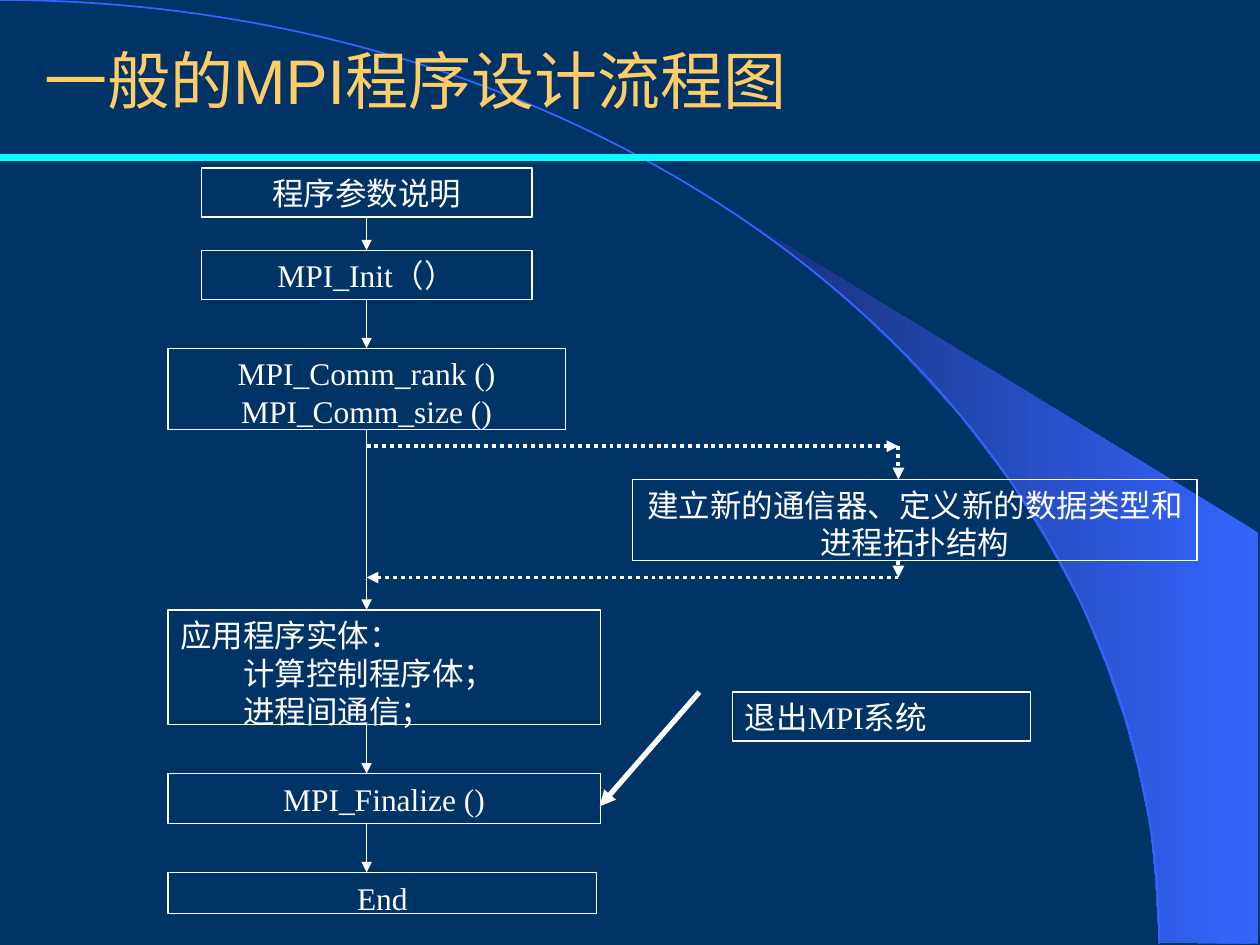
from dataclasses import dataclass

from lxml import etree
from pptx import Presentation
from pptx.dml.color import RGBColor
from pptx.enum.dml import MSO_LINE
from pptx.enum.shapes import MSO_CONNECTOR, MSO_SHAPE
from pptx.enum.text import MSO_ANCHOR, MSO_AUTO_SIZE, PP_ALIGN
from pptx.oxml.ns import qn
from pptx.util import Pt

STRAIGHT = MSO_CONNECTOR.STRAIGHT
DOTTED = MSO_LINE.ROUND_DOT
CENTER, LEFT, JUSTIFY = PP_ALIGN.CENTER, PP_ALIGN.LEFT, PP_ALIGN.JUSTIFY
TOP, BOTTOM = 0, 2


@dataclass(frozen=True)
class Theme:
    background: RGBColor = RGBColor(0x00, 0x33, 0x66)
    arc: RGBColor = RGBColor(0x33, 0x66, 0xFF)
    beam_dark: RGBColor = RGBColor(0x17, 0x2F, 0x75)
    rule: RGBColor = RGBColor(0x00, 0xFF, 0xFF)
    title: RGBColor = RGBColor(0xFF, 0xCC, 0x66)
    ink: RGBColor = RGBColor(0xFF, 0xFF, 0xFF)
    title_font: str = "Arial"
    body_font: str = "Times New Roman"
    title_size: float = 36
    body_size: float = 18
    thin: float = 0.75
    dotted: float = 2.25
    thick: float = 3


THEME = Theme()

# Content
WIDTH, HEIGHT = 720, 540
TITLE = "一般的MPI程序设计流程图"

# name: (left, top, width, height), alignment, [(text, left indent)]
BOXES = {
    "parameters": ((115, 96, 189, 28), CENTER, [("程序参数说明", 0)]),
    "init": ((115, 143, 189, 28), CENTER, [("MPI_Init（）", 0)]),
    "rank": ((96, 199, 227, 46.5), CENTER,
             [("MPI_Comm_rank ()", 0), ("MPI_Comm_size ()", 0)]),
    "communicator": ((361.5, 274, 322.5, 46.5), CENTER,
                     [("建立新的通信器、定义新的数据类型和进程拓扑结构", 0)]),
    "body": ((96, 348.5, 247, 65.5), JUSTIFY,
             [("应用程序实体：", 0), ("计算控制程序体；", 36), ("进程间通信；", 36)]),
    "finalize": ((96, 442, 247, 28.5), CENTER, [("MPI_Finalize ()", 0)]),
    "exit": ((418.5, 395.5, 170.5, 28), JUSTIFY, [("退出MPI系统", 0)]),
    "end": ((96, 498.5, 245, 23.5), CENTER, [("End", 0)]),
}
MAIN_FLOW = ["parameters", "init", "rank", "body", "finalize", "end"]
FLOW_X, DETOUR_X = 209.5, 513.4
DETOUR_TOP, DETOUR_BOTTOM = 255, 330
EXIT_ARROW = ((399.6, 395.5), (342.7, 460.8))

ARC_RADIUS_X, ARC_RADIUS_Y = 662.4, 539.3
BEAM = [
    (662.4, 538.6), (719.3, 539.3), (719.3, 304.6), (424.1, 124.6),
    (449.3, 143.3), (470.2, 159.8), (493.2, 180), (515.5, 201.6),
    (548.6, 237.6), (578.2, 276.5), (599, 310.3), (617.8, 344.9),
    (632.2, 380.2), (643, 411.8), (650.2, 438.5), (657.4, 472.3),
    (660.2, 501.1),
]


def points(values):
    return [Pt(value) for value in values]


def add_line(slide, start, end, color, width, dash=None, arrow=True):
    line = slide.shapes.add_connector(STRAIGHT, *points(start + end))
    line.line.color.rgb = color
    line.line.width = Pt(width)
    if dash is not None:
        line.line.dash_style = dash
    if arrow:
        outline = line.line._get_or_add_ln()
        etree.SubElement(outline, qn("a:tailEnd"), type="triangle")
    etree.SubElement(line._element.spPr, qn("a:effectLst"))
    return line


def add_text(paragraph, text, font_name, size, color):
    run = paragraph.add_run()
    run.text = text
    run.font.name = font_name
    run.font.size = Pt(size)
    run.font.color.rgb = color


def add_backdrop(slide):
    slide.background.fill.solid()
    slide.background.fill.fore_color.rgb = THEME.background

    # Light beam to the right of the arc
    vertices = [tuple(points(vertex)) for vertex in BEAM]
    builder = slide.shapes.build_freeform(*vertices[0])
    builder.add_line_segments(vertices[1:], close=True)
    beam = builder.convert_to_shape()
    beam.shadow.inherit = False
    beam.line.fill.background()
    beam.fill.gradient()
    beam.fill.gradient_angle = 180
    for stop, color in zip(beam.fill.gradient_stops, (THEME.arc, THEME.beam_dark)):
        stop.color.rgb = color

    # Quarter ellipse and rule under the title
    arc = slide.shapes.add_shape(MSO_SHAPE.ARC, *points(
        (-ARC_RADIUS_X, 0, 2 * ARC_RADIUS_X, 2 * ARC_RADIUS_Y)))
    arc.shadow.inherit = False
    arc.fill.background()
    arc.line.color.rgb = THEME.arc
    arc.line.width = Pt(1)
    add_line(slide, (0, 90), (WIDTH, 90), THEME.rule, 4.5, arrow=False)


def add_title(slide):
    title = slide.shapes.title
    title.left, title.top, title.width, title.height = points((18, 12.2, 612, 66.2))
    slide.shapes._spTree.append(title._element)  # in front of the backdrop
    frame = title.text_frame
    frame.auto_size = MSO_AUTO_SIZE.NONE
    frame.vertical_anchor = MSO_ANCHOR.MIDDLE
    paragraph = frame.paragraphs[0]
    paragraph.alignment = LEFT
    add_text(paragraph, TITLE, THEME.title_font, THEME.title_size, THEME.title)


def add_box(slide, bounds, alignment, lines):
    box = slide.shapes.add_shape(MSO_SHAPE.RECTANGLE, *points(bounds))
    box.shadow.inherit = False
    box.fill.background()
    box.line.color.rgb = THEME.ink
    box.line.width = Pt(THEME.thin)
    frame = box.text_frame
    frame.word_wrap = True
    frame.vertical_anchor = MSO_ANCHOR.TOP
    for index, (text, indent) in enumerate(lines):
        paragraph = frame.add_paragraph() if index else frame.paragraphs[0]
        paragraph.alignment = alignment
        if indent:
            paragraph._p.get_or_add_pPr().set("marL", str(Pt(indent)))
        add_text(paragraph, text, THEME.body_font, THEME.body_size, THEME.ink)
    return box


def add_flow(slide):
    boxes = {name: add_box(slide, *box) for name, box in BOXES.items()}

    # Main flow: join the arrow wherever it meets the middle of a side
    for upper, lower in zip(MAIN_FLOW, MAIN_FLOW[1:]):
        start = (FLOW_X, BOXES[upper][0][1] + BOXES[upper][0][3])
        end = (FLOW_X, BOXES[lower][0][1])
        arrow = add_line(slide, start, end, THEME.ink, THEME.thin)
        for name, connect, side in ((upper, arrow.begin_connect, BOTTOM),
                                    (lower, arrow.end_connect, TOP)):
            left, _, width, _ = BOXES[name][0]
            if left + width / 2 == FLOW_X:
                connect(boxes[name], side)

    # Optional detour through the communicator box
    _, top, _, height = BOXES["communicator"][0]
    detour = [
        ((FLOW_X, DETOUR_TOP), (DETOUR_X, DETOUR_TOP)),
        ((DETOUR_X, DETOUR_TOP), (DETOUR_X, top)),
        ((DETOUR_X, top + height), (DETOUR_X, DETOUR_BOTTOM)),
        ((DETOUR_X, DETOUR_BOTTOM), (FLOW_X, DETOUR_BOTTOM)),
    ]
    for start, end in detour:
        add_line(slide, start, end, THEME.ink, THEME.dotted, DOTTED)

    # Pointer from the exit note
    add_line(slide, *EXIT_ARROW, THEME.ink, THEME.thick)


def main():
    presentation = Presentation()
    presentation.slide_width, presentation.slide_height = Pt(WIDTH), Pt(HEIGHT)
    slide = presentation.slides.add_slide(presentation.slide_layouts[5])
    add_backdrop(slide)
    add_title(slide)
    add_flow(slide)
    presentation.save("out.pptx")


if __name__ == "__main__":
    main()
